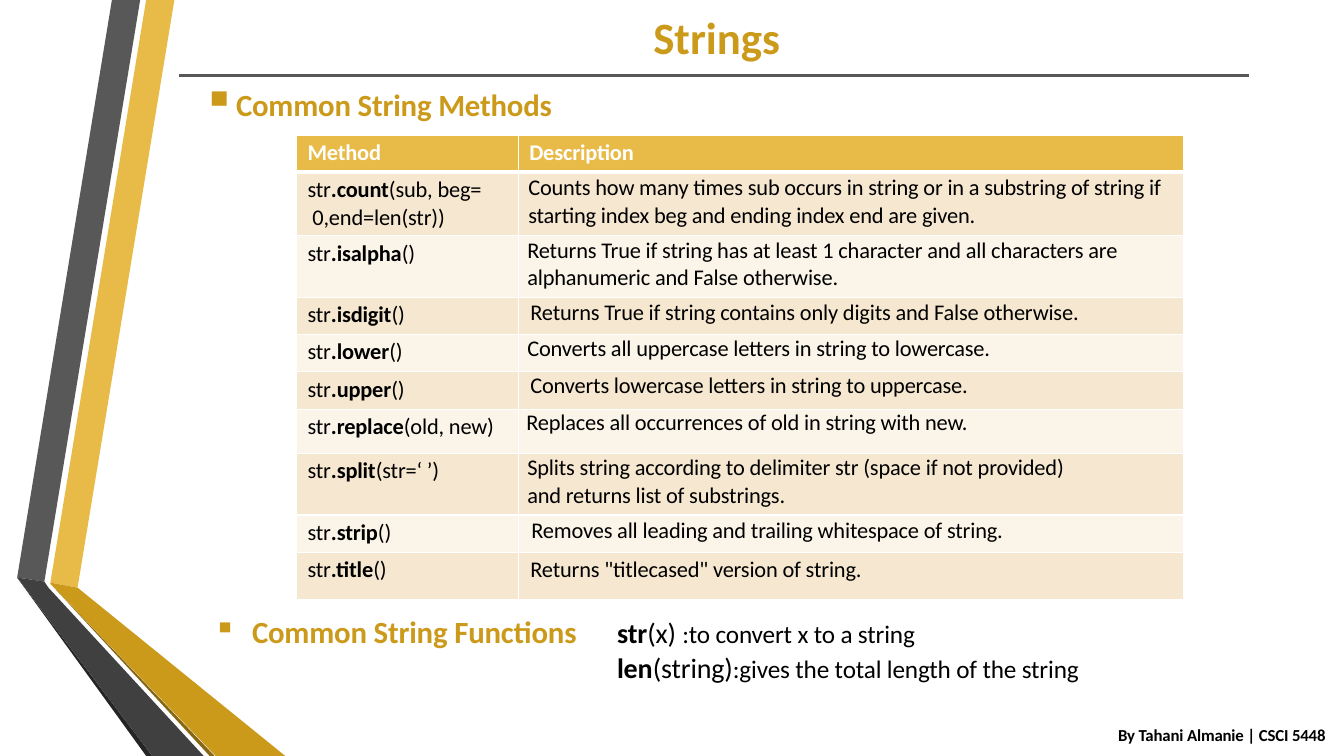
from dataclasses import dataclass

from lxml import etree
from pptx import Presentation
from pptx import util as u
from pptx.dml.color import RGBColor
from pptx.enum import text
from pptx.oxml import ns

I = u.Inches


@dataclass(frozen=True)
class Theme:
    font: str = "Calibri"
    gold: str = "CC9A1A"
    light_gold: str = "E8BB49"
    dark_gold: str = "876711"
    gray: str = "585858"
    charcoal: str = "404040"
    near_black: str = "252525"
    ink: str = "000000"
    white: str = "FFFFFF"
    bands: tuple = ("F6E7D0", "FAF4E9")
    title: int = 32
    heading: int = 22
    code: int = 20
    body: int = 18
    cell: int = 16
    footer: int = 12


T = Theme()

RIBBONS = [
    (T.light_gold, [(1.73, 0), (1.45, 0), (0.5, 5.78), (0.77, 5.83)]),
    (T.gray, [(1.39, 0), (1.11, 0), (0.17, 5.73), (0.44, 5.77)]),
    (T.near_black, [(0.17, 5.73), (1.45, 7.5), (1.51, 7.5)]),
    (T.dark_gold, [(0.5, 5.79), (2.08, 7.5), (2.13, 7.5)]),
    (T.gold, [(0.5, 5.78), (0.5, 5.79), (2.14, 7.5), (2.83, 7.5), (0.77, 5.83)]),
    (T.charcoal, [(0.17, 5.73), (1.51, 7.5), (2.02, 7.5), (0.48, 5.83), (0.44, 5.77)]),
]

# height, method, arguments, description, indent, top inset, space before
METHODS = [
    (0.63, "count", "(sub, beg=\n 0,end=len(str))",
     "Counts how many times sub occurs in string or in a substring of string if\n"
     "starting index beg and ending index end are given.", 0.1, 0.02, 1.4),
    (0.61, "isalpha", "()",
     "Returns True if string has at least 1 character and all characters are\n"
     "alphanumeric and False otherwise.", 0.09, 0.01, 0.8),
    (0.37, "isdigit", "()",
     "Returns True if string contains only digits and False otherwise.", 0.12, 0.02, 1.6),
    (0.37, "lower", "()",
     "Converts all uppercase letters in string to lowercase.", 0.09, 0.01, 0.7),
    (0.37, "upper", "()",
     "Converts lowercase letters in string to uppercase.", 0.12, 0, 0),
    (0.44, "replace", "(old, new)",
     "Replaces all occurrences of old in string with new.", 0.08, 0, 0.1),
    (0.61, "split", "(str=‘ ’)",
     "Splits string according to delimiter str (space if not provided)\n"
     "and returns list of substrings.", 0.09, 0.01, 0.6),
    (0.37, "strip", "()",
     "Removes all leading and trailing whitespace of string.", 0.13, 0.02, 1.3),
    (0.47, "title", "()",
     "Returns \"titlecased\" version of string.", 0.12, 0.04, 2.5),
]


def add_text(p, words, size=T.cell, color=T.ink, bold=False, spacing=-10):
    for i, line in enumerate(words.split("\n")):
        if i:
            p.add_line_break()
        r = p.add_run()
        r.text = line
        r.font.name, r.font.size, r.font.bold = T.font, u.Pt(size), bold
        r.font.color.rgb = RGBColor.from_string(color)
        r._r.get_or_add_rPr().set("spc", str(spacing))


def set_indent(p, left, first=0.0):
    pPr = p._p.get_or_add_pPr()
    pPr.set("marL", str(I(left)))
    pPr.set("indent", str(I(first)))
    return pPr


def add_box(s, x, y, w, h, top=0.01):
    tf = s.shapes.add_textbox(I(x), I(y), I(w), I(h)).text_frame
    tf.margin_left = tf.margin_right = tf.margin_bottom = 0
    tf.margin_top = I(top)
    tf.word_wrap = True
    tf.auto_size = text.MSO_AUTO_SIZE.SHAPE_TO_FIT_TEXT
    return tf


def add_ribbons(s):
    for color, points in RIBBONS:
        start, *rest = [(I(x), I(y)) for x, y in points]
        fb = s.shapes.build_freeform(*start)
        fb.add_line_segments(rest, close=True)
        sp = fb.convert_to_shape()
        sp.shadow.inherit = False
        sp.fill.solid()
        sp.fill.fore_color.rgb = RGBColor.from_string(color)
        sp.line.fill.background()


def add_title(s, x, y, w, h):
    p = add_box(s, x, y, w, h).paragraphs[0]
    p.space_before = u.Pt(1)
    set_indent(p, 0.01)
    add_text(p, "Strings", size=T.title, color=T.gold, bold=True, spacing=0)


def add_rule(s, x, y, w):
    line = s.shapes.add_connector(1, I(x), I(y), I(x + w), I(y))
    line.line.color.rgb = RGBColor.from_string(T.gray)
    line.line.width = u.Pt(2.28)
    etree.SubElement(line._element.spPr, ns.qn("a:effectLst"))


def add_heading(s, x, y, w, h, words, indent, bullet_size=100):
    p = add_box(s, x, y, w, h).paragraphs[0]
    p.space_before = u.Pt(0.9)
    pPr = set_indent(p, indent, 0.01 - indent)
    etree.SubElement(pPr, ns.qn("a:buSzPct")).set("val", str(bullet_size * 1000))
    etree.SubElement(pPr, ns.qn("a:buChar")).set("char", "▪")
    add_text(p, words, size=T.heading, color=T.gold, bold=True)


def set_borders(cell, **widths):
    tcPr = cell._tc.get_or_add_tcPr()
    for i, side in enumerate("LRTB"):
        ln = etree.Element(ns.qn(f"a:ln{side}"), w=str(u.Pt(widths.get(side, 1))))
        fill = etree.SubElement(ln, ns.qn("a:solidFill"))
        etree.SubElement(fill, ns.qn("a:srgbClr")).set("val", T.white)
        tcPr.insert(i, ln)


def format_cell(cell, fill, indent=0.11, top=0.04, before=2.6, **borders):
    cell.margin_left = cell.margin_right = cell.margin_bottom = 0
    cell.margin_top = I(top)
    cell.fill.solid()
    cell.fill.fore_color.rgb = RGBColor.from_string(fill)
    set_borders(cell, **borders)
    p = cell.text_frame.paragraphs[0]
    p.space_before = u.Pt(before)
    set_indent(p, indent)
    return p


def add_methods_table(s, x, y, widths, header_height):
    heights = [header_height] + [m[0] for m in METHODS]
    frame = s.shapes.add_table(len(heights), len(widths), I(x), I(y),
                               I(sum(widths)), I(sum(heights)))
    table = frame.table
    table.horz_banding = False
    for col, width in zip(table.columns, widths):
        col.width = I(width)
    for row, height in zip(table.rows, heights):
        row.height = I(height)
    for c, label in enumerate(("Method", "Description")):
        p = format_cell(table.cell(0, c), T.light_gold, B=3)
        add_text(p, label, color=T.white, bold=True)
    for i, (_, name, args, about, indent, top, before) in enumerate(METHODS):
        fill, upper = T.bands[i % 2], 1 if i else 3
        p = format_cell(table.cell(i + 1, 0), fill, T=upper)
        add_text(p, "str")
        add_text(p, f".{name}", bold=True)
        add_text(p, args)
        p = format_cell(table.cell(i + 1, 1), fill, indent, top, before, T=upper)
        add_text(p, about)


def add_functions(s, x, y, w, h):
    tf = add_box(s, x, y, w, h)
    functions = [("str", "(x) ", ":to convert x to a string", 1.1),
                 ("len", "(string)", ":gives the total length of the string", 0.5)]
    for i, (name, args, about, before) in enumerate(functions):
        p = tf.add_paragraph() if i else tf.paragraphs[0]
        p.space_before = u.Pt(before)
        set_indent(p, 0.01)
        add_text(p, name, size=T.code, bold=True)
        add_text(p, args, size=T.code)
        add_text(p, about, size=T.body)


def add_footer(s, x, y, w, h):
    p = add_box(s, x, y, w, h, top=0).paragraphs[0]
    p.line_spacing = u.Pt(12.3)
    set_indent(p, 0.01)
    add_text(p, "By Tahani Almanie | CSCI 5448", size=T.footer, bold=True)


def main():
    prs = Presentation()
    prs.slide_width, prs.slide_height = I(13.33), I(7.5)
    s = prs.slides.add_slide(prs.slide_layouts[6])
    add_ribbons(s)
    add_title(s, 6.47, 0.09, 1.29, 0.56)
    add_rule(s, 1.78, 0.75, 10.61)
    add_heading(s, 2, 0.84, 3.51, 0.39, "Common String Methods", 0.33, bullet_size=145)
    add_footer(s, 11.08, 7.22, 2.17, 0.2)
    add_methods_table(s, 2.94, 1.34, (2.2, 6.6), 0.37)
    add_heading(s, 2.11, 6.07, 3.66, 0.39, "Common String Functions", 0.39)
    add_functions(s, 6.11, 6.1, 4.69, 0.7)
    prs.save("out.pptx")


if __name__ == "__main__":
    main()
